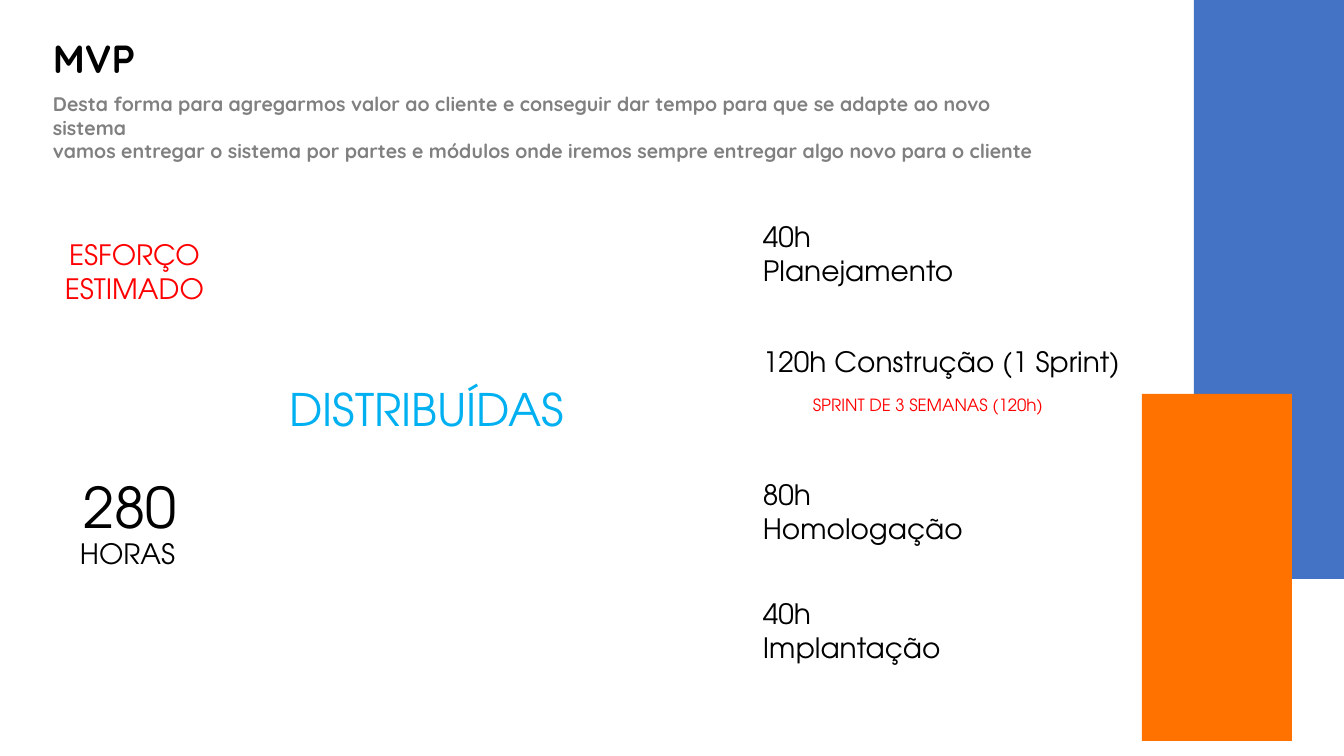
import pptx
import pptx.dml.color
import pptx.enum.shapes
import pptx.enum.text
import pptx.util

RGBColor = pptx.dml.color.RGBColor
BLACK = RGBColor(0x00, 0x00, 0x00)
GRAY = RGBColor(0x80, 0x80, 0x80)
RED = RGBColor(0xFF, 0x00, 0x00)
SKY = RGBColor(0x00, 0xB0, 0xF0)
BLUE = RGBColor(0x44, 0x72, 0xC4)
ORANGE = RGBColor(0xFF, 0x72, 0x00)

HEADING_FONT = "Quicksand"
BODY_FONT = "TeX Gyre Adventor"
LEFT = pptx.enum.text.PP_ALIGN.LEFT
CENTER = pptx.enum.text.PP_ALIGN.CENTER
PX_PER_INCH = 100.8


def px(length):
    return pptx.util.Emu(round(length * 914400 / PX_PER_INCH))


def add_text(slide, box, lines, size, color, font=BODY_FONT, bold=False, align=LEFT):
    text_box = slide.shapes.add_textbox(*map(px, box))
    frame = text_box.text_frame
    frame.word_wrap = True
    frame.auto_size = pptx.enum.text.MSO_AUTO_SIZE.SHAPE_TO_FIT_TEXT
    paragraph = frame.paragraphs[0]
    paragraph.alignment = align
    for index, line in enumerate(lines):
        if index:
            paragraph.add_line_break()
        run = paragraph.add_run()
        run.text = line
        run.font.name = font
        run.font.size = pptx.util.Pt(size)
        run.font.bold = bold
        run.font.color.rgb = color


def add_block(slide, box, color):
    block = slide.shapes.add_shape(
        pptx.enum.shapes.MSO_SHAPE.RECTANGLE, *map(px, box))
    block.shadow.inherit = False
    block.fill.solid()
    block.fill.fore_color.rgb = color
    block.line.fill.background()


def add_side_blocks(slide, left, top):
    add_block(slide, (left + 52, top, 150, 579), BLUE)
    add_block(slide, (left, top + 394, 150, 347), ORANGE)


def add_header(slide, left, top, width):
    add_text(slide, (left, top, 106, 57), ["MVP"], 28, BLACK, HEADING_FONT, True)
    add_text(slide, (left, top + 58, width, 81), [
        "Desta forma para agregarmos valor ao cliente e conseguir dar tempo "
        "para que se adapte ao novo sistema",
        "vamos entregar o sistema por partes e módulos onde iremos sempre "
        "entregar algo novo para o cliente",
    ], 14, GRAY, HEADING_FONT, True)


def add_effort(slide, left, top):
    add_text(slide, (left, top, 233, 78), ["ESFORÇO ESTIMADO"], 20, RED, align=CENTER)
    add_text(slide, (left + 36, top + 235, 152, 78), ["280"], 40, BLACK, align=CENTER)
    add_text(slide, (left + 52, top + 299, 146, 44), ["HORAS"], 20, BLACK)
    add_text(slide, (left + 137, top + 144, 544, 65), ["DISTRIBUÍDAS"], 32, SKY,
             align=CENTER)


def add_phases(slide, left, top):
    # Offset, width and height of each phase; narrow boxes wrap after the hours
    phases = [
        ("40h Planejamento", 0, 260, 78),
        ("120h Construção (1 Sprint)", 125, 405, 44),
        ("80h Homologação", 258, 260, 78),
        ("40h Implantação", 377, 240, 78),
    ]
    for label, offset, width, height in phases:
        add_text(slide, (left, top + offset, width, height), [label], 20, BLACK)
    add_text(slide, (left + 50, top + 175, 272, 30),
             ["SPRINT DE 3 SEMANAS (120h)"], 12, RED)


def main():
    presentation = pptx.Presentation()
    presentation.slide_width = px(1344)
    presentation.slide_height = px(756)
    slide = presentation.slides.add_slide(presentation.slide_layouts[6])
    add_side_blocks(slide, 1142, 0)
    add_header(slide, 43, 29, 1021)
    add_effort(slide, 18, 233)
    add_phases(slide, 753, 215)
    presentation.save("out.pptx")


if __name__ == "__main__":
    main()
